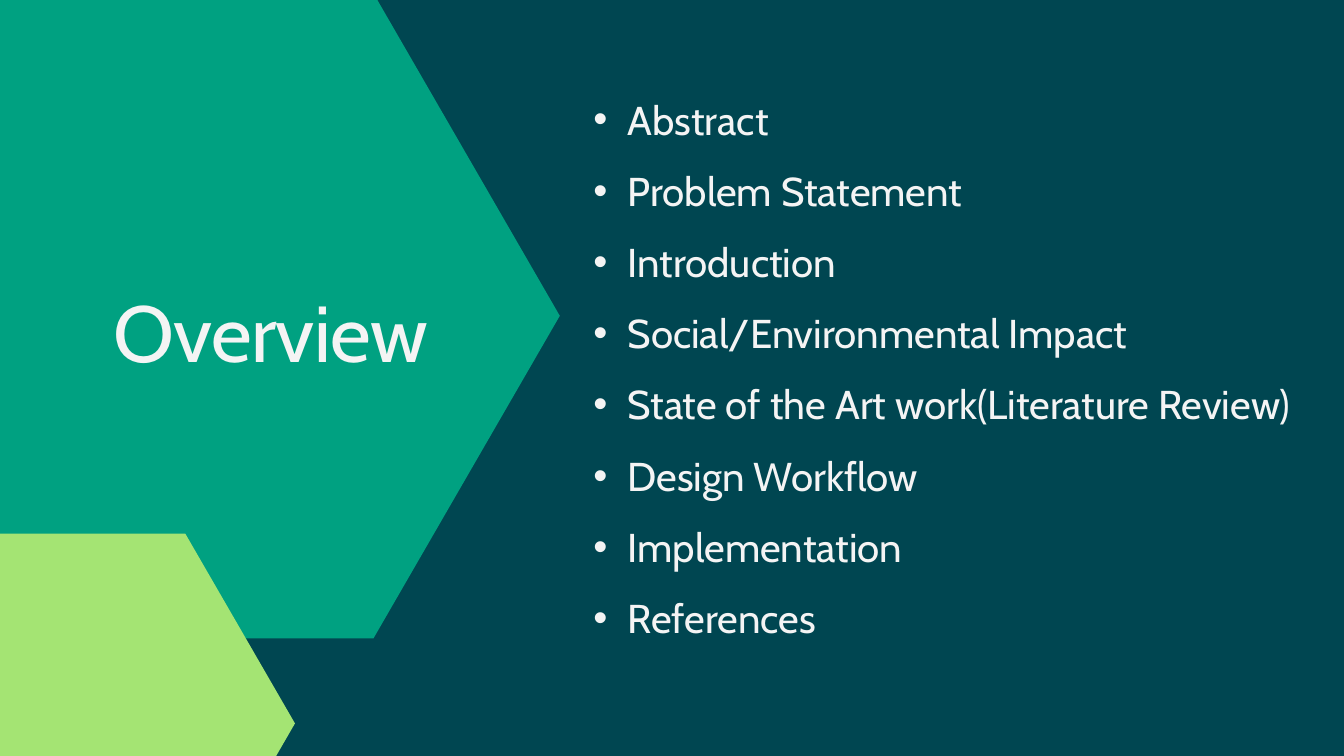
from lxml import etree
from pptx import Presentation
from pptx.dml.color import RGBColor
from pptx.enum.text import MSO_AUTO_SIZE
from pptx.oxml.ns import qn
from pptx.util import Inches, Pt

GROW = MSO_AUTO_SIZE.SHAPE_TO_FIT_TEXT

# Content
TITLE = "Overview"
WIDE = 9.07
TOPICS = [
    ("Abstract", WIDE),
    ("Problem Statement", WIDE),
    ("Introduction", WIDE),
    ("Social/Environmental Impact", 10.14),
    ("State of the Art work(Literature Review)", 12.39),
    ("Design Workflow", WIDE),
    ("Implementation", WIDE),
    ("References", WIDE),
]

# Format
COLORS = {"back": "004651", "teal": "00A181", "lime": "A4E473", "text": "F4F4F4"}
HEAD = {"size": Pt(85), "name": "Cabin"}
ITEM = {"size": Pt(43.1), "name": "Cabin"}
MARGINS = ("margin_left", "margin_top", "margin_right", "margin_bottom")

# Layout in inches
WIDTH, HEIGHT = 20, 11.25
LEFT, TOP, STEP, ROW = 8.32, 1.29, 1.06, 0.81
HEXES = [("teal", -2.76, -0.1, 11.09, 9.6), ("lime", -2.14, 7.94, 6.53, 5.65)]
CORNERS = [(1, 0.5), (0.75, 1), (0.25, 1), (0, 0.5), (0.25, 0), (0.75, 0)]


def color(key):
    return RGBColor.from_string(COLORS[key])


def add_hex(slide, key, x, y, w, h):
    pts = [(Inches(x + w * u), Inches(y + h * v)) for u, v in CORNERS]
    pen = slide.shapes.build_freeform(*pts[0])
    pen.add_line_segments(pts[1:], close=True)
    shape = pen.convert_to_shape()
    shape.shadow.inherit = False
    shape.fill.solid()
    shape.fill.fore_color.rgb = color(key)
    shape.line.fill.background()


def add_text(slide, text, box, form, lead):
    frame = slide.shapes.add_textbox(*map(Inches, box)).text_frame
    frame.word_wrap = True
    frame.auto_size = GROW
    for side in MARGINS:
        setattr(frame, side, 0)
    para = frame.paragraphs[0]
    para.line_spacing = Pt(lead)
    run = para.add_run()
    run.text = text
    for key, value in form.items():
        setattr(run.font, key, value)
    run.font.color.rgb = color("text")
    return para, run


def add_bullet(para):
    para.level = 1
    props = para._p.get_or_add_pPr()
    props.set("marL", str(Inches(1.02)))
    props.set("indent", str(Inches(-0.51)))
    etree.SubElement(props, qn("a:buFont")).set("typeface", "Arial")
    etree.SubElement(props, qn("a:buChar")).set("char", "•")


def main():
    deck = Presentation()
    deck.slide_width, deck.slide_height = Inches(WIDTH), Inches(HEIGHT)
    slide = deck.slides.add_slide(deck.slide_layouts[6])
    slide.background.fill.solid()
    slide.background.fill.fore_color.rgb = color("back")

    # Hexagons that bleed off the left edge
    for spot in HEXES:
        add_hex(slide, *spot)

    # Title, slightly tightened
    _, run = add_text(slide, TITLE, (1.69, 4.22, 4.88, 1.41), HEAD, 102)
    run.font._element.set("spc", "-80")

    # Topics, one box a row
    for i, (text, wide) in enumerate(TOPICS):
        box = (LEFT, TOP + i * STEP, wide, ROW)
        para, _ = add_text(slide, text, box, ITEM, 60.4)
        add_bullet(para)

    deck.save("out.pptx")


if __name__ == "__main__":
    main()
